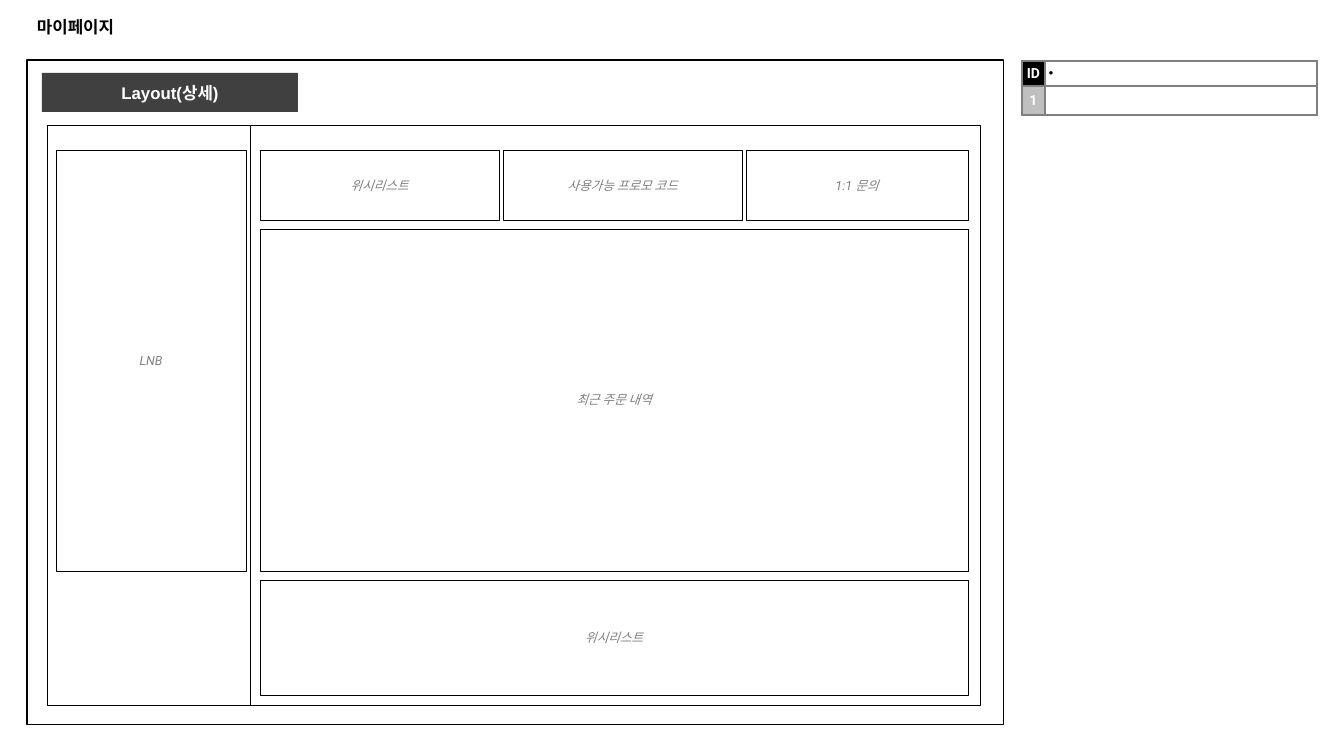
"""Build the my-page layout wireframe slide."""
from lxml.etree import SubElement
from pptx import Presentation
from pptx.dml.color import RGBColor
from pptx.enum.shapes import MSO_SHAPE
from pptx.enum.text import MSO_ANCHOR, PP_ALIGN
from pptx.oxml import parse_xml
from pptx.oxml.ns import nsdecls, qn
from pptx.util import Emu, Pt

PX = 914400 / 100.8
BODY = {"name": "Roboto", "size": Pt(9), "italic": True}
HEAD = {"name": "Arial", "size": Pt(12), "bold": True}
CELL = {"name": "Roboto", "size": Pt(10), "bold": True}


def px(*values):
    return [Emu(round(v * PX)) for v in values]


def write(tf, text, fmt, color, align):
    p = tf.paragraphs[0]
    p.alignment = align
    r = p.add_run()
    r.text = text
    for key, value in fmt.items():
        setattr(r.font, key, value)
    r.font.color.rgb = RGBColor.from_string(color)


prs = Presentation()
prs.slide_width, prs.slide_height = px(1344, 756)
s = prs.slides.add_slide(prs.slide_layouts[6])

title = s.shapes.add_textbox(*px(27, 7, 1289, 39))
tf = title.text_frame
tf.word_wrap = True
tf.vertical_anchor = MSO_ANCHOR.MIDDLE
write(tf, "마이페이지", HEAD, "000000", PP_ALIGN.LEFT)

boxes = [
    (27, 60, 977, 665, "", 0.75),
    (47, 125, 203, 580, "", 0.25),
    (250, 125, 730, 580, "", 0.25),
    (56, 150, 190, 421, "LNB", 0.25),
]
left, top, gap, wide = 260, 150, 9, 708
x = left
for label, width in [("위시리스트", 239), ("사용가능 프로모 코드", 239), ("1:1 문의", 222)]:
    boxes.append((x, top, width, 70, label, 0.25))
    x += width + 4
y = top + 70 + gap
for label, height in [("최근 주문 내역", 342), ("위시리스트", 115)]:
    boxes.append((left, y, wide, height, label, 0.25))
    y += height + gap

for x, y, width, height, label, weight in boxes:
    sp = s.shapes.add_shape(MSO_SHAPE.RECTANGLE, *px(x, y, width, height))
    sp.shadow.inherit = False
    sp.fill.background()
    sp.line.color.rgb = RGBColor.from_string("000000")
    sp.line.width = Pt(weight)
    if label:
        tf = sp.text_frame
        tf.vertical_anchor = MSO_ANCHOR.MIDDLE
        tf.margin_left, tf.margin_top, tf.margin_right, tf.margin_bottom = px(4, 4, 4, 4)
        write(tf, label, BODY, "808080", PP_ALIGN.CENTER)

banner = s.shapes.add_shape(MSO_SHAPE.RECTANGLE, *px(42, 73, 256, 39))
banner.shadow.inherit = False
banner.fill.solid()
banner.fill.fore_color.rgb = RGBColor.from_string("404040")
banner.line.fill.background()
banner.text_frame.vertical_anchor = MSO_ANCHOR.MIDDLE
write(banner.text_frame, "Layout(상세)", HEAD, "FFFFFF", PP_ALIGN.CENTER)

table = s.shapes.add_table(2, 2, *px(1022, 61, 295, 54)).table
table.first_row = table.horz_banding = False
for col, width in zip(table.columns, px(23, 272)):
    col.width = width
for row, height in zip(table.rows, px(25, 29)):
    row.height = height

for i, (label, fill) in enumerate([("ID", "000000"), ("1", "BFBFBF")]):
    for j in range(2):
        cell = table.cell(i, j)
        cell.vertical_anchor = MSO_ANCHOR.MIDDLE
        cell.margin_left, cell.margin_top, cell.margin_right, cell.margin_bottom = px(4 * j, 0, 0, 0)
        for side in "LRTB":
            cell._tc.get_or_add_tcPr().append(parse_xml(
                f'<a:ln{side} {nsdecls("a")} w="12700"><a:solidFill>'
                f'<a:srgbClr val="7F7F7F"/></a:solidFill></a:ln{side}>'))
        if j == 0:
            cell.fill.solid()
            cell.fill.fore_color.rgb = RGBColor.from_string(fill)
            write(cell.text_frame, label, CELL, "FFFFFF", PP_ALIGN.CENTER)
        else:
            cell.fill.background()
            SubElement(cell.text_frame.paragraphs[0]._p, qn("a:endParaRPr"), sz="900")

note = table.cell(0, 1).text_frame
pPr = note.paragraphs[0]._p.get_or_add_pPr()
pPr.set("marL", str(px(9)[0]))
pPr.set("indent", str(px(-9)[0]))
SubElement(pPr, qn("a:buFont"), typeface="Arial")
SubElement(pPr, qn("a:buChar"), char="•")
write(note, " ", {"name": "Roboto", "size": Pt(9)}, "000000", PP_ALIGN.LEFT)

prs.save("out.pptx")
